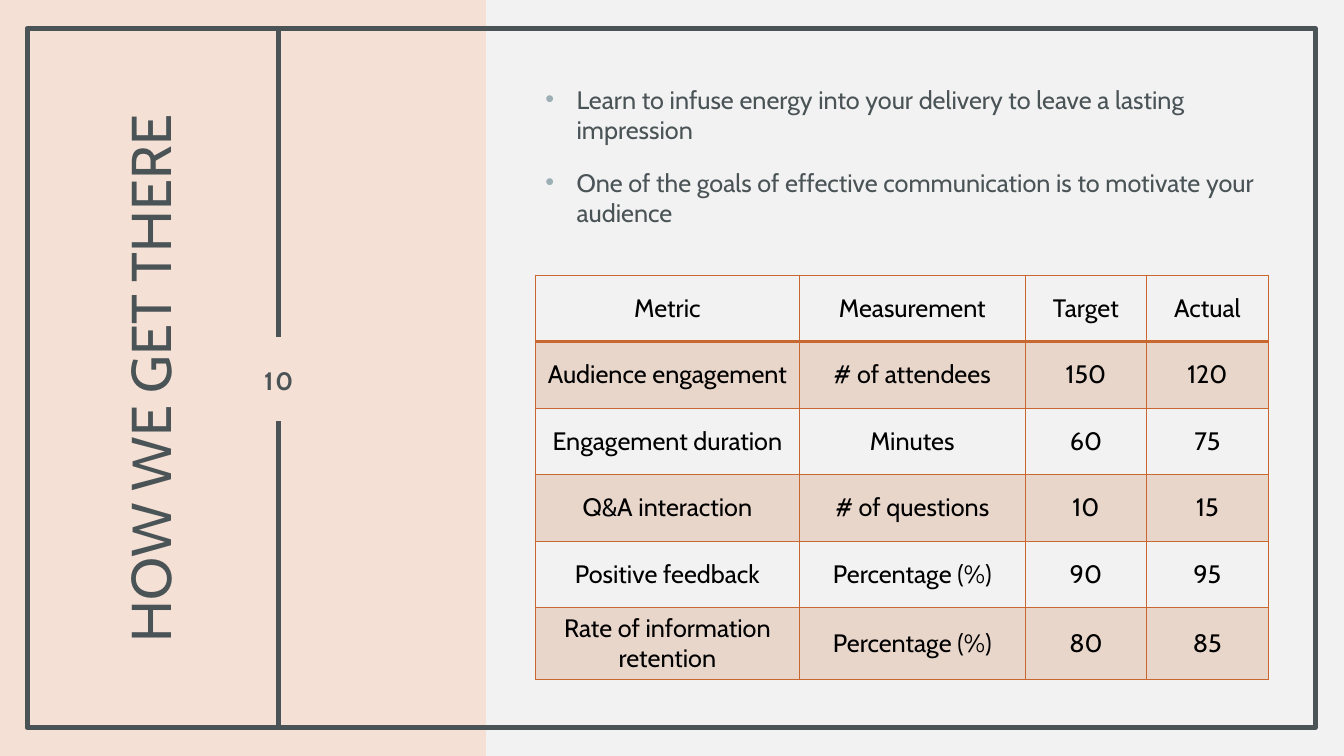
"""Build the "How we get there" slide: a side title, two bullets and a metrics table."""
import dataclasses

import lxml.etree
import pptx
import pptx.dml.color
import pptx.enum.shapes
import pptx.enum.text
import pptx.oxml.ns
import pptx.util

INK, PEACH, PAPER = "4A5356", "F5E0D5", "F2F2F2"
ORANGE, BLACK, BULLET = "C96731", "000000", "9BAFB5"
FONT = "Cabin"
WIDTH, HEIGHT = pptx.util.Inches(13.333), pptx.util.Inches(7.5)
CENTER = pptx.enum.text.PP_ALIGN.CENTER
MIDDLE = pptx.enum.text.MSO_ANCHOR.MIDDLE
NO_FIT = pptx.enum.text.MSO_AUTO_SIZE.NONE
COLUMN_SHARES = [19.65, 16.8, 9.04, 9.04]
ROW_SHARE = 8.8
DIVIDER_X = 20.7
DIVIDER_SPANS = [(3.73, 44.53), (55.73, 96.53)]
BULLETS = [
    "Learn to infuse energy into your delivery to leave a lasting impression",
    "One of the goals of effective communication is to motivate your audience",
]


@dataclasses.dataclass
class Box:
    """A rectangle in percent of the slide's width and height."""
    left: float
    top: float
    width: float
    height: float

    def lengths(self) -> tuple:
        """Return left, top, width and height as lengths."""
        return across(self.left), down(self.top), across(self.width), down(self.height)


@dataclasses.dataclass
class Metric:
    """One row of the table."""
    name: str
    measurement: str
    target: str
    actual: str


@dataclasses.dataclass
class Panel:
    """A rectangle with a fill or an outline."""
    box: Box
    fill: str = ""
    line: str = ""


PANELS = [
    Panel(Box(0, 0, 36.16, 100), fill=PEACH),
    Panel(Box(2.02, 3.73, 95.85, 92.53), line=INK),
]
TITLE_BOX = Box(-14.33, 33.47, 51.45, 33.2)
NUMBER_BOX = Box(18, 44.67, 5.48, 11.2)
BODY_BOX = Box(39.83, 8.53, 54.53, 24.13)
METRICS = [
    Metric("Metric", "Measurement", "Target", "Actual"),
    Metric("Audience engagement", "# of attendees", "150", "120"),
    Metric("Engagement duration", "Minutes", "60", "75"),
    Metric("Q&A interaction", "# of questions", "10", "15"),
    Metric("Positive feedback", "Percentage (%)", "90", "95"),
    Metric("Rate of information retention", "Percentage (%)", "80", "85"),
]
TABLE_BOX = Box(39.83, 36.4, sum(COLUMN_SHARES), ROW_SHARE * len(METRICS))


def across(share: float) -> int:
    """Convert a percentage of the slide's width."""
    return int(WIDTH * share / 100)


def down(share: float) -> int:
    """Convert a percentage of the slide's height."""
    return int(HEIGHT * share / 100)


def paint(color_format, color: str) -> None:
    """Apply a hex colour to a fill's or font's colour."""
    color_format.rgb = pptx.dml.color.RGBColor.from_string(color)


def add_child(parent, tag: str, **attributes: str):
    """Append a drawing element to a parent element."""
    return lxml.etree.SubElement(parent, pptx.oxml.ns.qn(tag), attributes)


def add_run(paragraph, text: str, size: float, color: str, bold: bool = False):
    """Add a formatted run and return it."""
    run = paragraph.add_run()
    run.text = text
    run.font.name, run.font.size, run.font.bold = FONT, pptx.util.Pt(size), bold
    paint(run.font.color, color)
    return run


def place(shape, box: Box) -> None:
    """Move a shape to a box and bring it to the front."""
    shape.left, shape.top, shape.width, shape.height = box.lengths()
    shape.element.getparent().append(shape.element)


def prepare_frame(shape):
    """Set wrapping and middle anchoring, and return the text frame."""
    frame = shape.text_frame
    frame.word_wrap, frame.auto_size, frame.vertical_anchor = True, NO_FIT, MIDDLE
    return frame


def draw_panel(slide, panel: Panel) -> None:
    """Draw a filled or outlined rectangle."""
    kind = pptx.enum.shapes.MSO_SHAPE.RECTANGLE
    shape = slide.shapes.add_shape(kind, *panel.box.lengths())
    shape.shadow.inherit = False
    if panel.fill:
        shape.fill.solid()
        paint(shape.fill.fore_color, panel.fill)
    else:
        shape.fill.background()
    if panel.line:
        paint(shape.line.color, panel.line)
        shape.line.width = pptx.util.Pt(3.5)
    else:
        shape.line.fill.background()


def draw_divider(slide, top: float, bottom: float) -> None:
    """Draw one part of the vertical divider."""
    kind = pptx.enum.shapes.MSO_CONNECTOR.STRAIGHT
    x = across(DIVIDER_X)
    connector = slide.shapes.add_connector(kind, x, down(top), x, down(bottom))
    paint(connector.line.color, INK)
    connector.line.width = pptx.util.Pt(3.5)
    add_child(connector.element.spPr, "a:effectLst")


def write_title(title) -> None:
    """Write the title, turned to read upwards."""
    place(title, TITLE_BOX)
    title.rotation = 270
    frame = prepare_frame(title)
    frame.margin_left = frame.margin_right = pptx.util.Inches(0.2)
    frame.margin_top = frame.margin_bottom = 0
    paragraph = frame.paragraphs[0]
    paragraph.alignment, paragraph.line_spacing = CENTER, 0.9
    add_run(paragraph, "HOW WE GET THERE", 40, INK)


def write_number(slide) -> None:
    """Write the slide number in the divider's gap."""
    frame = prepare_frame(slide.shapes.add_textbox(*NUMBER_BOX.lengths()))
    frame.margin_left = frame.margin_right = 0
    paragraph = frame.paragraphs[0]
    paragraph.alignment = CENTER
    run = add_run(paragraph, "10", 18, INK, bold=True)
    run.font._element.set("spc", "150")


def write_bullets(body) -> None:
    """Write the bulleted list."""
    place(body, BODY_BOX)
    frame = prepare_frame(body)
    indent = pptx.util.Inches(0.31)
    for index, text in enumerate(BULLETS):
        paragraph = frame.add_paragraph() if index else frame.paragraphs[0]
        paragraph.space_before = pptx.util.Pt(10 if index else 0)
        paragraph.space_after = pptx.util.Pt(6)
        properties = paragraph._p.get_or_add_pPr()
        properties.set("marL", str(indent))
        properties.set("indent", str(-indent))
        add_child(add_child(properties, "a:buClr"), "a:srgbClr", val=BULLET)
        add_child(properties, "a:buFont", typeface="Arial")
        add_child(properties, "a:buChar", char="•")
        add_run(paragraph, text, 18, INK)


def format_cell(cell, row: int) -> None:
    """Draw a cell's borders and its translucent band."""
    properties = cell._tc.get_or_add_tcPr()
    heavy_side = {0: "B", 1: "T"}.get(row)
    for side in "LRTB":
        width = pptx.util.Pt(2 if side == heavy_side else 1)
        border = add_child(properties, f"a:ln{side}", w=str(width))
        add_child(add_child(border, "a:solidFill"), "a:srgbClr", val=ORANGE)
    if row % 2:
        cell.fill.solid()
        paint(cell.fill.fore_color, ORANGE)
        fill = properties.find(pptx.oxml.ns.qn("a:solidFill"))
        add_child(fill[0], "a:alpha", val="20000")
    else:
        cell.fill.background()


def draw_table(slide) -> None:
    """Draw the metrics table."""
    shape = slide.shapes.add_table(len(METRICS), len(COLUMN_SHARES), *TABLE_BOX.lengths())
    table = shape.table
    table.first_row = table.horz_banding = False
    for column, share in zip(table.columns, COLUMN_SHARES):
        column.width = across(share)
    for row, metric in enumerate(METRICS):
        table.rows[row].height = down(ROW_SHARE)
        for cell, text in zip(table.rows[row].cells, dataclasses.astuple(metric)):
            cell.vertical_anchor = MIDDLE
            format_cell(cell, row)
            paragraph = cell.text_frame.paragraphs[0]
            paragraph.alignment = CENTER
            add_run(paragraph, text, 18, BLACK)


def main() -> None:
    """Build and save the presentation."""
    presentation = pptx.Presentation()
    presentation.slide_width, presentation.slide_height = WIDTH, HEIGHT
    slide = presentation.slides.add_slide(presentation.slide_layouts[1])
    slide.background.fill.solid()
    paint(slide.background.fill.fore_color, PAPER)
    for panel in PANELS:
        draw_panel(slide, panel)
    for top, bottom in DIVIDER_SPANS:
        draw_divider(slide, top, bottom)
    write_title(slide.shapes.title)
    write_number(slide)
    write_bullets(slide.placeholders[1])
    draw_table(slide)
    presentation.save("out.pptx")


if __name__ == "__main__":
    main()
